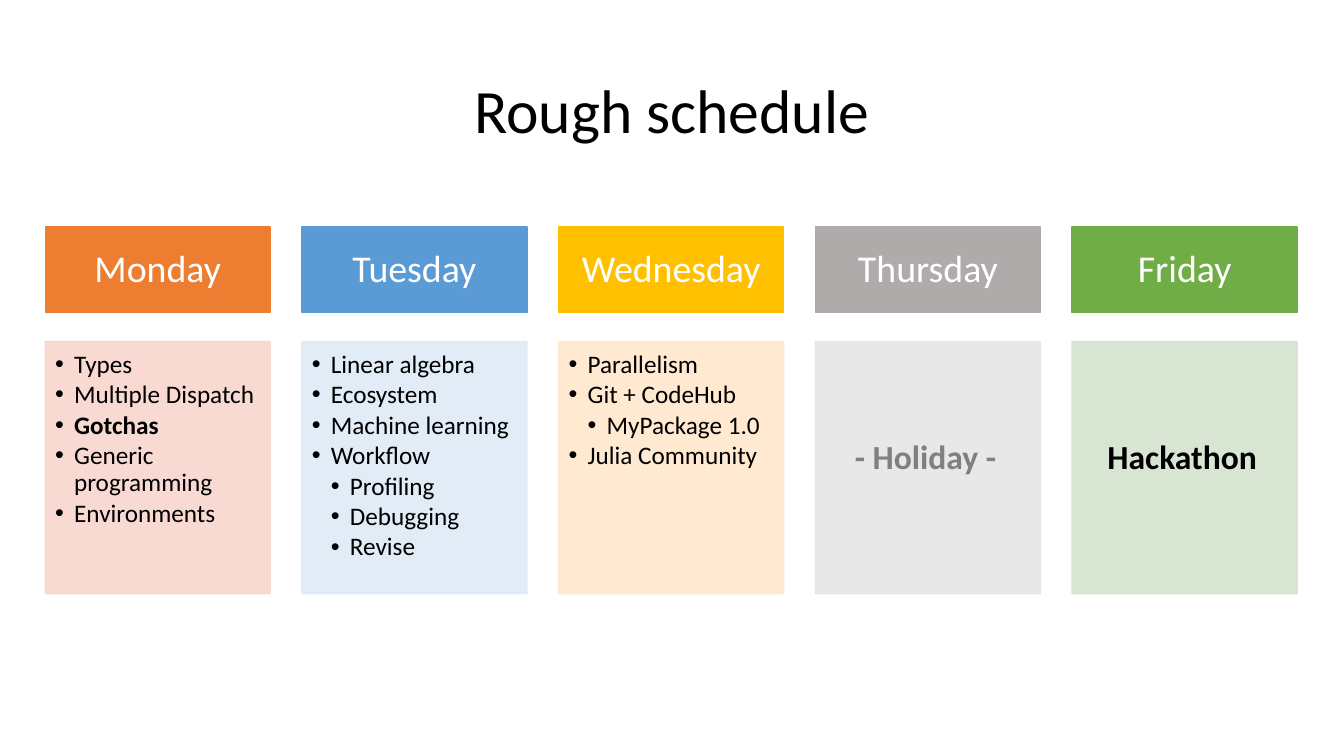
"""Build the rough schedule slide: five weekday headings above their topics."""
from dataclasses import dataclass
from typing import Any

from lxml.etree import SubElement
from pptx import Presentation
from pptx.dml.color import RGBColor
from pptx.enum.shapes import MSO_SHAPE
from pptx.enum.text import MSO_ANCHOR, PP_ALIGN
from pptx.oxml.ns import qn
from pptx.shapes.autoshape import Shape
from pptx.slide import Slide
from pptx.util import Cm, Pt

BLACK = RGBColor(0x00, 0x00, 0x00)
WHITE = RGBColor(0xFF, 0xFF, 0xFF)
GRAY = RGBColor(0x80, 0x80, 0x80)
ORANGE = RGBColor(0xED, 0x7D, 0x31)
PALE_ORANGE = RGBColor(0xF8, 0xD7, 0xCE)
BLUE = RGBColor(0x5B, 0x9B, 0xD5)
PALE_BLUE = RGBColor(0xDE, 0xEB, 0xF7)
GOLD = RGBColor(0xFF, 0xC0, 0x00)
PALE_GOLD = RGBColor(0xFF, 0xE8, 0xCC)
SILVER = RGBColor(0xAF, 0xAB, 0xAB)
PALE_SILVER = RGBColor(0xE7, 0xE6, 0xE6)
GREEN = RGBColor(0x70, 0xAD, 0x47)
PALE_GREEN = RGBColor(0xD5, 0xE3, 0xCF)

FIRST_LEFT = 1.14
DAY_PITCH = 6.47
DAY_WIDTH = 5.67
HEADING_TOP, HEADING_HEIGHT = 5.72, 2.16
BODY_TOP, BODY_HEIGHT = 8.61, 6.35
BULLET_INDENT = 0.48
BODY_OPACITY = 90

Format = dict[str, Any]


def frame_format(left: float, top: float, right: float, bottom: float, anchor: MSO_ANCHOR) -> Format:
    """Return text frame settings with insets in centimetres."""
    return {
        "margin_left": Cm(left),
        "margin_top": Cm(top),
        "margin_right": Cm(right),
        "margin_bottom": Cm(bottom),
        "vertical_anchor": anchor,
        "word_wrap": True,
    }


TITLE_FRAME = frame_format(0.25, 0.13, 0.25, 0.13, MSO_ANCHOR.MIDDLE)
HEADING_FRAME = frame_format(0.53, 0.3, 0.53, 0.3, MSO_ANCHOR.MIDDLE)
TOPICS_FRAME = frame_format(0.25, 0.25, 0.36, 0.41, MSO_ANCHOR.TOP)
NOTICE_FRAME = frame_format(0.36, 0.36, 0.48, 0.84, MSO_ANCHOR.MIDDLE)
CENTERED = {"alignment": PP_ALIGN.CENTER, "line_spacing": 0.9}
LISTED = {"alignment": PP_ALIGN.LEFT, "line_spacing": 0.9, "space_after": Pt(2.3)}


@dataclass(frozen=True)
class Line:
    text: str
    level: int = 0
    bold: bool = False


@dataclass(frozen=True)
class Day:
    name: str
    color: RGBColor
    pale: RGBColor
    topics: tuple[Line, ...] = ()
    notice: str = ""
    notice_color: RGBColor = BLACK


DAYS = (
    Day("Monday", ORANGE, PALE_ORANGE, (
        Line("Types"), Line("Multiple Dispatch"), Line("Gotchas", bold=True),
        Line("Generic programming"), Line("Environments"),
    )),
    Day("Tuesday", BLUE, PALE_BLUE, (
        Line("Linear algebra"), Line("Ecosystem"), Line("Machine learning"), Line("Workflow"),
        Line("Profiling", 1), Line("Debugging", 1), Line("Revise", 1),
    )),
    Day("Wednesday", GOLD, PALE_GOLD, (
        Line("Parallelism"), Line("Git + CodeHub"), Line("MyPackage 1.0", 1), Line("Julia Community"),
    )),
    Day("Thursday", SILVER, PALE_SILVER, notice="- Holiday -", notice_color=GRAY),
    Day("Friday", GREEN, PALE_GREEN, notice="Hackathon"),
)


def apply_format(target: Any, values: Format) -> None:
    """Set every attribute named in the format values."""
    for name, value in values.items():
        setattr(target, name, value)


def add_bullet(paragraph: Any, level: int) -> None:
    """Give the paragraph a hanging bullet at its level."""
    paragraph.level = level
    properties = paragraph._p.get_or_add_pPr()
    properties.set("marL", str(Cm(BULLET_INDENT * (level + 1))))
    properties.set("indent", str(Cm(-BULLET_INDENT)))
    SubElement(properties, qn("a:buFont"), typeface="Arial")
    SubElement(properties, qn("a:buChar"), char="•")


def write_lines(shape: Shape, lines: tuple[Line, ...], size: int, color: RGBColor,
                frame: Format, layout: Format, bulleted: bool = False) -> None:
    """Write one paragraph for each line."""
    text_frame = shape.text_frame
    apply_format(text_frame, frame)
    for index, line in enumerate(lines):
        paragraph = text_frame.add_paragraph() if index else text_frame.paragraphs[0]
        apply_format(paragraph, layout)
        if bulleted:
            add_bullet(paragraph, line.level)
        run = paragraph.add_run()
        run.text = line.text
        apply_format(run.font, {"name": "Calibri", "size": Pt(size), "bold": line.bold})
        run.font.color.rgb = color


def add_block(slide: Slide, left: float, top: float, height: float,
              color: RGBColor, opacity: int = 100) -> Shape:
    """Add a rectangle with fill and outline of one colour."""
    shape = slide.shapes.add_shape(MSO_SHAPE.RECTANGLE, Cm(left), Cm(top), Cm(DAY_WIDTH), Cm(height))
    shape.shadow.inherit = False
    shape.line.width = Pt(1)
    for fill in (shape.fill, shape.line.fill):
        fill.solid()
        fill.fore_color.rgb = color
    if opacity < 100:
        for element in shape._element.spPr.iter(qn("a:srgbClr")):
            SubElement(element, qn("a:alpha"), val=str(opacity * 1000))
    return shape


def add_day(slide: Slide, day: Day, left: float) -> None:
    """Add the heading and the body of one day."""
    heading = add_block(slide, left, HEADING_TOP, HEADING_HEIGHT, day.color)
    write_lines(heading, (Line(day.name),), 27, WHITE, HEADING_FRAME, CENTERED)
    body = add_block(slide, left, BODY_TOP, BODY_HEIGHT, day.pale, BODY_OPACITY)
    if day.topics:
        write_lines(body, day.topics, 18, BLACK, TOPICS_FRAME, LISTED, bulleted=True)
    else:
        notice = Line(day.notice, bold=True)
        write_lines(body, (notice,), 24, day.notice_color, NOTICE_FRAME, CENTERED)


def main() -> None:
    """Build and save the presentation."""
    presentation = Presentation()
    apply_format(presentation, {"slide_width": Cm(33.87), "slide_height": Cm(19.05)})
    slide = presentation.slides.add_slide(presentation.slide_layouts[6])
    for index, day in enumerate(DAYS):
        add_day(slide, day, FIRST_LEFT + index * DAY_PITCH)
    title = slide.shapes.add_textbox(Cm(2.33), Cm(1.01), Cm(29.21), Cm(3.68))
    write_lines(title, (Line("Rough schedule"),), 44, BLACK, TITLE_FRAME, CENTERED)
    presentation.save("out.pptx")


if __name__ == "__main__":
    main()
